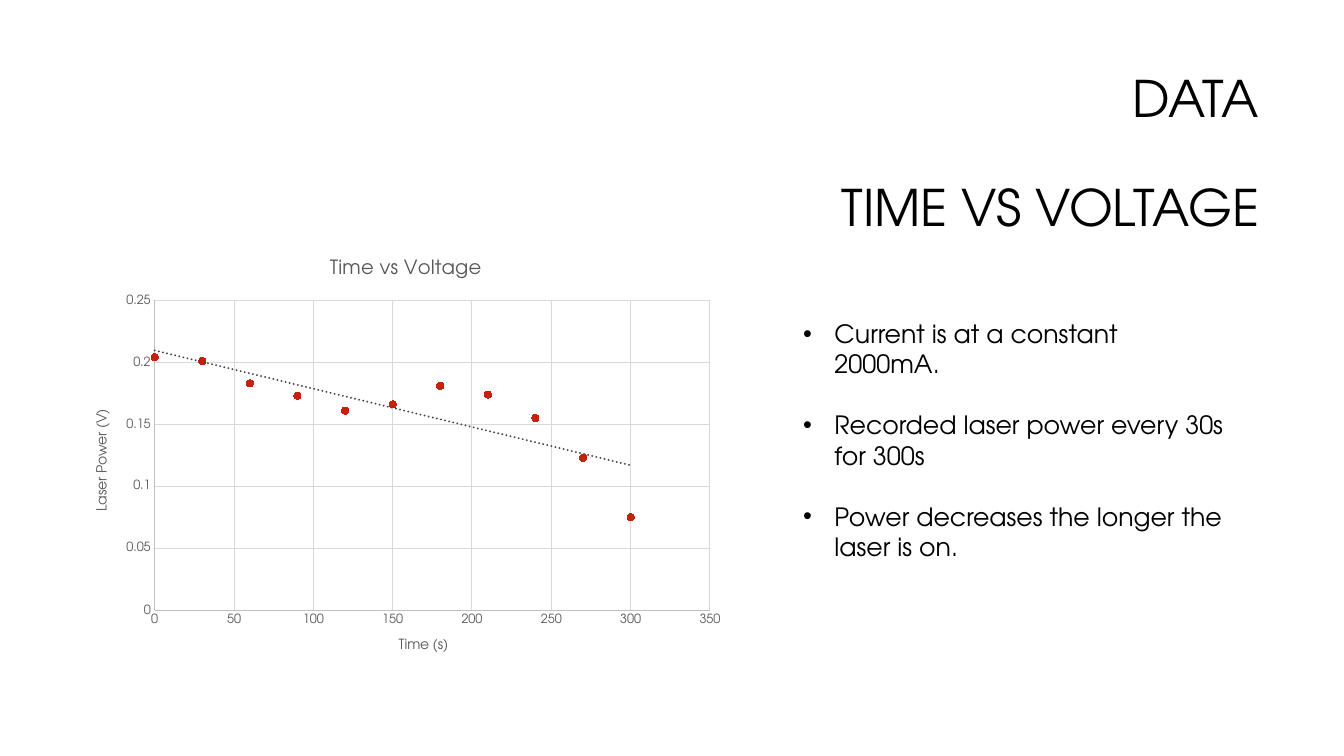
from pptx import Presentation
from pptx.chart.data import XyChartData
from pptx.dml.color import RGBColor
from pptx.enum.chart import XL_CHART_TYPE as Kind, XL_MARKER_STYLE as Mark, XL_TICK_MARK as Tick
from pptx.enum.text import MSO_ANCHOR as Anchor, PP_ALIGN as Align
from pptx.oxml import parse_xml
from pptx.oxml.ns import nsdecls
from pptx.util import Cm, Pt

BLACK = RGBColor(0x00, 0x00, 0x00)
GRAY = RGBColor(0x59, 0x59, 0x59)
AXIS = RGBColor(0xBF, 0xBF, 0xBF)
GRID = RGBColor(0xD9, 0xD9, 0xD9)
TREND = RGBColor(0x45, 0x45, 0x45)
RED = RGBColor(0xC4, 0x22, 0x0D)
FACE = "TeX Gyre Adventor"

TIMES = range(0, 301, 30)
POWER = [0.204, 0.201, 0.183, 0.173, 0.161, 0.166, 0.181, 0.174, 0.155, 0.123, 0.075]
NOTES = [
    "Current is at a constant 2000mA.",
    "Recorded laser power every 30s for 300s",
    "Power decreases the longer the laser is on.",
]


def style(font, size, color):
    font.name, font.size, font.bold = FACE, Pt(size), False
    font.color.rgb = color


def write(frame, lines, size=18, color=BLACK, align=Align.LEFT, gap=0, pitch=None, bullet=False):
    """Fill a text frame, one paragraph per line."""
    for i, line in enumerate(lines):
        para = frame.add_paragraph() if i else frame.paragraphs[0]
        para.alignment = align
        if pitch:
            para.line_spacing = pitch
        if i and gap:
            para.space_before = Pt(gap)
        if bullet:
            props = para._p.get_or_add_pPr()
            props.set("marL", str(Cm(0.79)))
            props.set("indent", str(-Cm(0.79)))
            props.append(parse_xml(f'<a:buFont {nsdecls("a")} typeface="Arial"/>'))
            props.append(parse_xml(f'<a:buChar {nsdecls("a")} char="•"/>'))
        run = para.add_run()
        run.text = line
        style(run.font, size, color)


class Deck:
    def __init__(self):
        self.prs = Presentation()
        self.prs.slide_width, self.prs.slide_height = Cm(33.87), Cm(19.05)
        self.slide = self.prs.slides.add_slide(self.prs.slide_layouts[6])

    def text(self, box, lines, anchor=Anchor.TOP, **form):
        frame = self.slide.shapes.add_textbox(*map(Cm, box)).text_frame
        frame.word_wrap = True
        frame.vertical_anchor = anchor
        write(frame, lines, **form)

    def axis(self, axis, name, top, step):
        axis.minimum_scale, axis.maximum_scale, axis.major_unit = 0, top, step
        axis.major_tick_mark = axis.minor_tick_mark = Tick.NONE
        axis.has_major_gridlines = True
        for line, color in ((axis.format.line, AXIS), (axis.major_gridlines.format.line, GRID)):
            line.color.rgb, line.width = color, Pt(0.75)
        style(axis.tick_labels.font, 9, GRAY)
        write(axis.axis_title.text_frame, [name], size=10, color=GRAY, align=Align.CENTER)

    def scatter(self, box, title, points):
        data = XyChartData()
        series = data.add_series("Series 1")
        for x, y in points:
            series.add_data_point(x, y)
        chart = self.slide.shapes.add_chart(Kind.XY_SCATTER, *map(Cm, box), data).chart
        style(chart.font, 10, BLACK)
        chart.has_legend = False
        write(chart.chart_title.text_frame, [title], size=14, color=GRAY, align=Align.CENTER)
        self.axis(chart.category_axis, "Time (s)", 350, 50)
        self.axis(chart.value_axis, "Laser Power (V)", 0.25, 0.05)

        # Round markers without a joining line
        plot = chart.plots[0]
        plot.vary_by_categories = False
        dots = plot.series[0]
        dots.format.line.fill.background()
        dots.marker.style, dots.marker.size = Mark.CIRCLE, 5
        dots.marker.format.fill.solid()
        dots.marker.format.fill.fore_color.rgb = RED
        dots.marker.format.line.color.rgb = RED

        # Dotted linear trend
        dots._element.find("{*}xVal").addprevious(parse_xml(
            f'<c:trendline {nsdecls("c", "a")}><c:spPr><a:ln w="{Pt(1.5)}" cap="rnd">'
            f'<a:solidFill><a:srgbClr val="{TREND}"/></a:solidFill><a:prstDash val="sysDot"/>'
            '</a:ln></c:spPr><c:trendlineType val="linear"/><c:dispRSqr val="0"/>'
            '<c:dispEq val="0"/></c:trendline>'))

        # Fixed inner plot area
        area = chart._chartSpace.find(".//{*}plotArea")
        for old in area.findall("{*}layout"):
            area.remove(old)
        sides = "".join(f'<c:{k} val="{v}"/>' for k, v in
                        {"x": 0.12, "y": 0.14, "w": 0.84, "h": 0.72}.items())
        area.insert(0, parse_xml(
            f'<c:layout {nsdecls("c")}><c:manualLayout><c:layoutTarget val="inner"/>'
            f'<c:xMode val="edge"/><c:yMode val="edge"/>{sides}</c:manualLayout></c:layout>'))


def main():
    deck = Deck()
    # Heading
    deck.text((8.05, 2.13, 23.93, 3.58), ["DATA", "TIME VS VOLTAGE"], anchor=Anchor.MIDDLE,
              size=36, align=Align.RIGHT, gap=39, pitch=0.9)
    # Measured laser power
    deck.scatter((1.9, 6.05, 16.66, 10.85), "Time vs Voltage", zip(TIMES, POWER))
    # Findings
    deck.text((19.99, 7.9, 11.25, 7.19), NOTES, gap=22, bullet=True)
    deck.prs.save("out.pptx")


if __name__ == "__main__":
    main()
